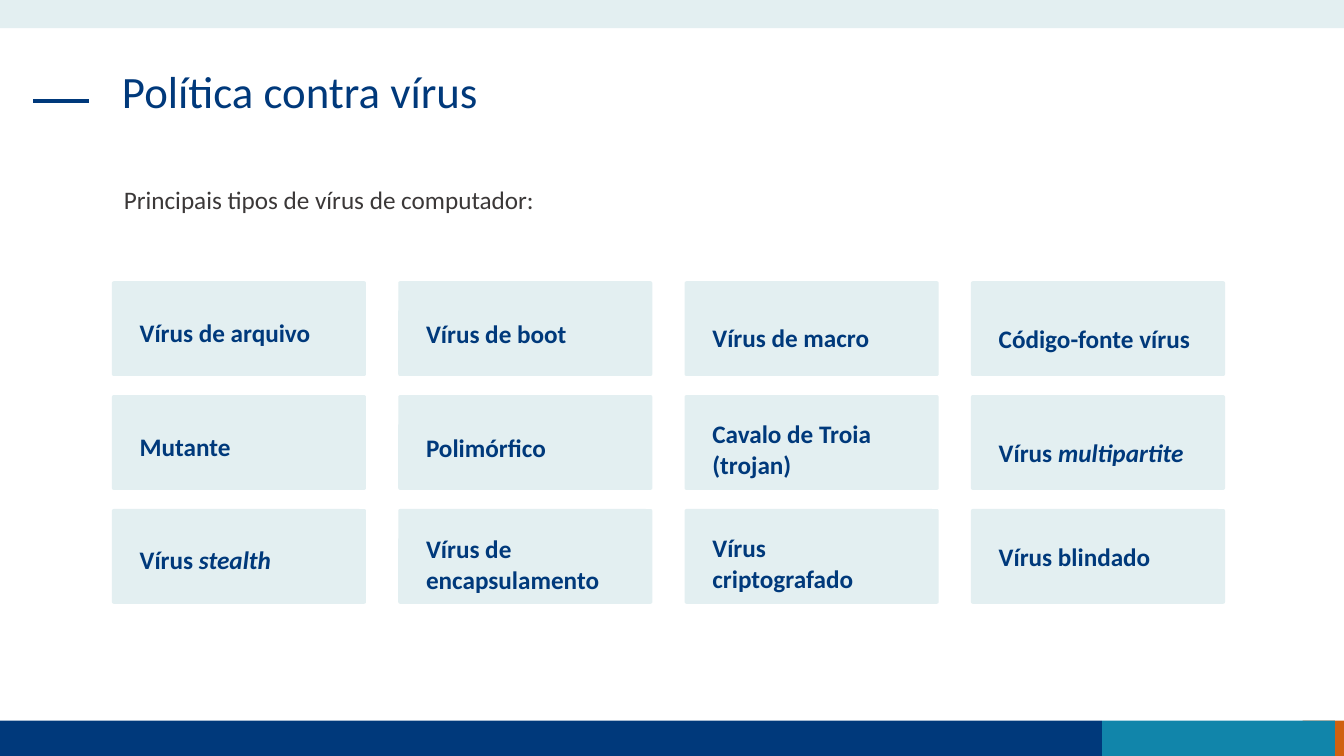
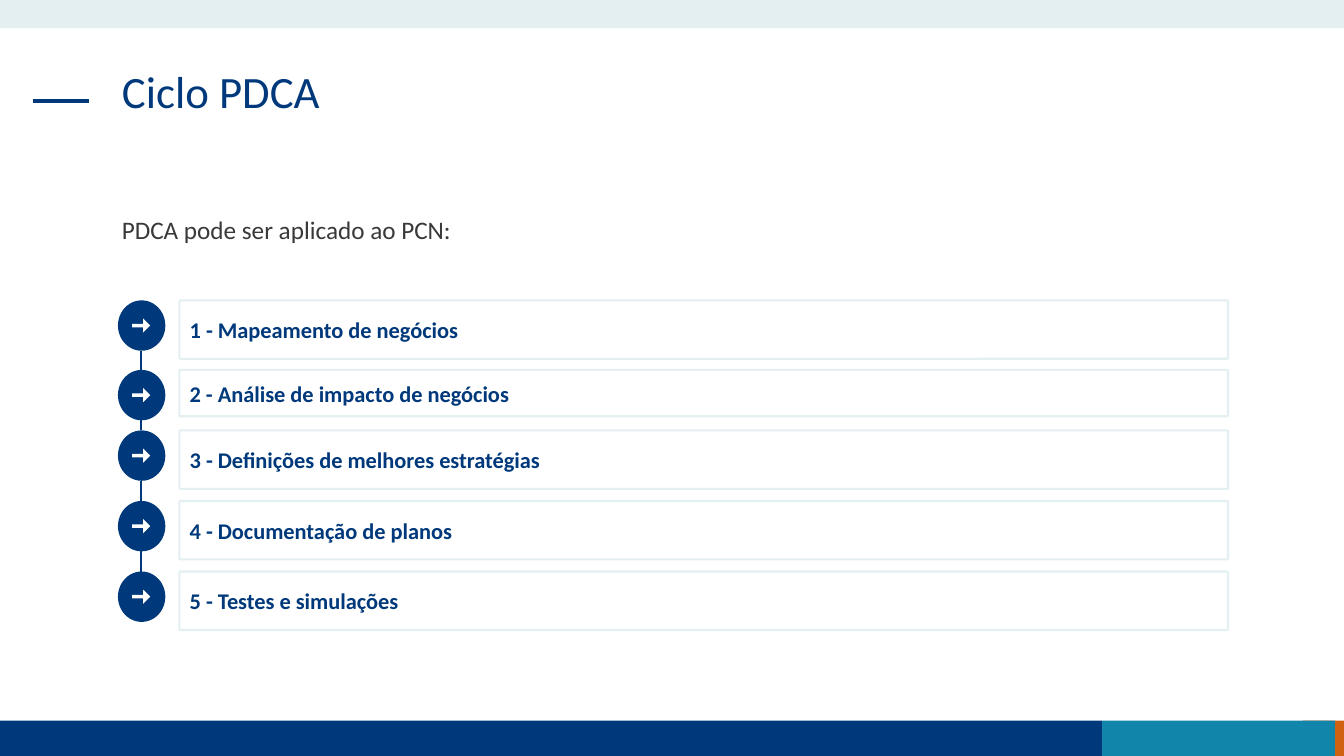
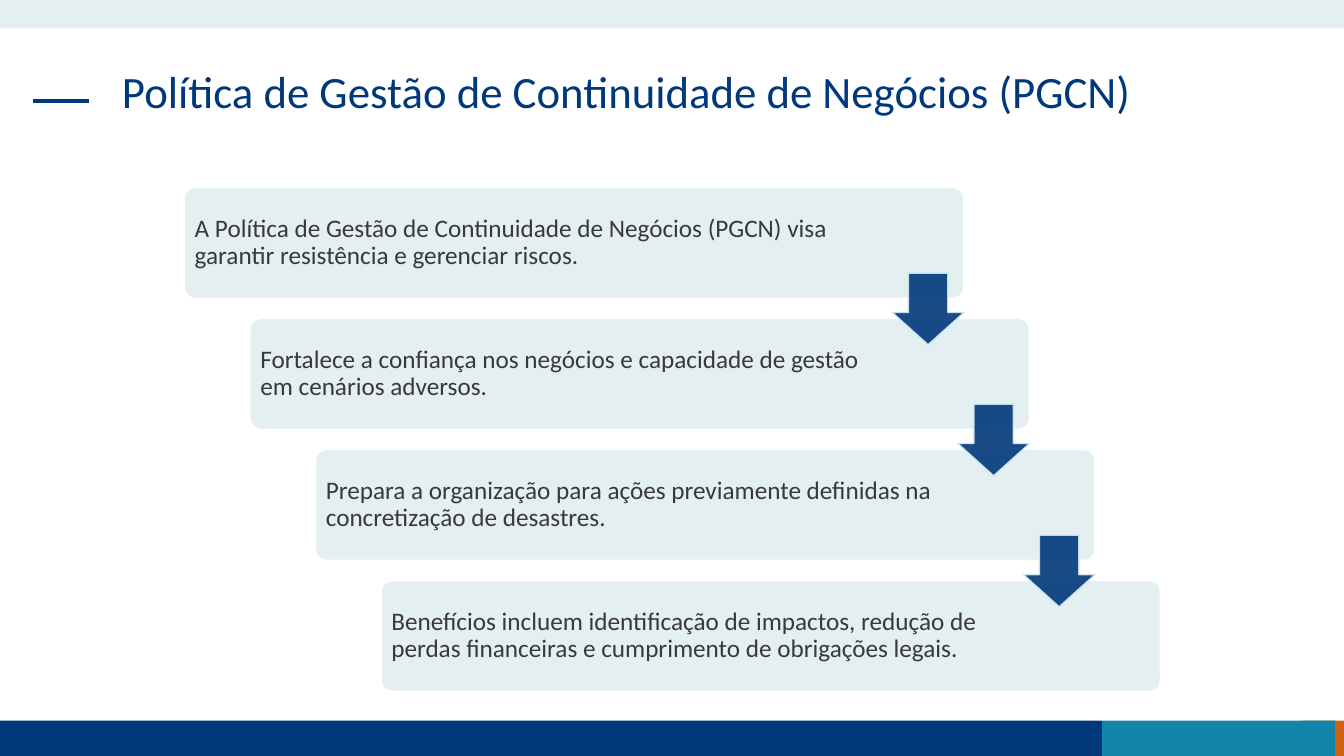
from dataclasses import dataclass
from itertools import pairwise

from lxml.etree import SubElement
from pptx import Presentation
from pptx.dml.color import RGBColor
from pptx.enum.shapes import MSO_CONNECTOR as Line, MSO_SHAPE as Shape
from pptx.enum.text import MSO_ANCHOR as Anchor, MSO_AUTO_SIZE as Fit, PP_ALIGN as Align
from pptx.oxml.ns import qn
from pptx.util import Inches, Pt


@dataclass(frozen=True)
class Theme:
    font: str = "Calibri"
    navy: str = "00397B"
    teal: str = "1185AA"
    orange: str = "D06110"
    mist: str = "E3EFF1"
    ice: str = "D1EBF4"
    ink: str = "3B3838"
    white: str = "FFFFFF"
    title: int = 32
    body: int = 18
    step: int = 16


T = Theme()
W, H = 13.33, 7.5
LEFT = 1.11

BANDS = [
    (12.92, 7.15, 0.41, 0.35, T.orange),
    (0, 7.15, 10.93, 0.35, T.navy),
    (10.93, 7.15, 2.31, 0.35, T.teal),
    (0, 0, W, 0.28, T.mist),
]

VIRUS_TITLE = "Política contra vírus"
VIRUS_INTRO = "Principais tipos de vírus de computador:"
VIRUSES = [
    [("Vírus de arquivo", "", 0.35), ("Vírus de boot", "", 0.36),
     ("Vírus de macro", "", 0.4), ("Código-fonte vírus", "", 0.41)],
    [("Mutante", "", 0.35), ("Polimórfico", "", 0.36),
     ("Cavalo de Troia (trojan)", "", 0.23), ("Vírus ", "multipartite", 0.41)],
    [("Vírus ", "stealth", 0.35), ("Vírus de encapsulamento", "", 0.24),
     ("Vírus criptografado", "", 0.23), ("Vírus blindado", "", 0.32)],
]

PDCA_TITLE = "Ciclo PDCA"
PDCA_INTRO = "PDCA pode ser aplicado ao PCN:"
STEPS = [
    ("1 - Mapeamento de negócios", 2.98, 0.58),
    ("2 - Análise de impacto de negócios", 3.67, 0.46),
    ("3 - Definições de melhores estratégias", 4.27, 0.58),
    ("4 - Documentação de planos", 4.97, 0.58),
    ("5 - Testes e simulações", 5.67, 0.58),
]

PGCN_TITLE = "Política de Gestão de Continuidade de Negócios (PGCN)"
STAIRS = [
    ("A Política de Gestão de Continuidade de Negócios (PGCN) visa garantir "
     "resistência e gerenciar riscos.", 1.27),
    ("Fortalece a confiança nos negócios e capacidade de gestão em cenários adversos.", 1.43),
    ("Prepara a organização para ações previamente definidas na concretização "
     "de desastres.", 1.43),
    ("Benefícios incluem identificação de impactos, redução de perdas financeiras "
     "e cumprimento de obrigações legais.", 1.43),
]


def rgb(color):
    return RGBColor.from_string(color)


def add_run(p, text, size, color, bold=False, italic=False):
    r = p.add_run()
    r.text = text
    f = r.font
    f.name, f.size, f.bold, f.italic = T.font, Pt(size), bold, italic
    f.color.rgb = rgb(color)


def open_text(sp, anchor, insets=(0.1, 0.05, 0.1, 0.05)):
    tf = sp.text_frame
    tf.word_wrap, tf.auto_size, tf.vertical_anchor = True, Fit.NONE, anchor
    tf.margin_left, tf.margin_top, tf.margin_right, tf.margin_bottom = map(Inches, insets)
    p = tf.paragraphs[0]
    p.alignment = Align.LEFT
    return p


def add_shape(s, kind, x, y, w, h, fill=None, line=None, weight=1, adj=()):
    sp = s.shapes.add_shape(kind, *map(Inches, (x, y, w, h)))
    sp.shadow.inherit = False
    for i, value in enumerate(adj):
        sp.adjustments[i] = value
    if fill:
        sp.fill.solid()
        sp.fill.fore_color.rgb = rgb(fill)
    else:
        sp.fill.background()
    if line:
        sp.line.color.rgb = rgb(line)
        sp.line.width = Pt(weight)
    else:
        sp.line.fill.background()
    return sp


def add_line(s, x1, y1, x2, y2, weight):
    c = s.shapes.add_connector(Line.STRAIGHT, *map(Inches, (x1, y1, x2, y2)))
    c.line.color.rgb = rgb(T.navy)
    c.line.width = Pt(weight)
    SubElement(c.element.spPr, qn("a:effectLst"))
    return c


def add_intro(s, text, x, y):
    sp = s.shapes.add_textbox(*map(Inches, (x, y, 6.67, 0.4)))
    add_run(open_text(sp, Anchor.TOP), text, T.body, T.ink)


def set_opacity(sp, percent):
    for color in sp.element.spPr.iter(qn("a:srgbClr")):
        SubElement(color, qn("a:alpha")).set("val", str(percent * 1000))


def add_slide(prs, layout, title):
    s = prs.slides.add_slide(layout)
    p = open_text(s.shapes.title, Anchor.TOP)
    p.line_spacing = 0.9
    add_run(p, title, T.title, T.navy)
    return s


def prepare_layout(prs):
    layout = prs.slide_layouts.get_by_name("Title Only")
    title, *footers = layout.placeholders
    for ph in footers:
        ph.element.getparent().remove(ph.element)
    title.left, title.top, title.width, title.height = map(Inches, (LEFT, 0.64, 11.1, 0.94))
    return layout


def move_frame_to_layout(s, layout):
    frame = [add_shape(s, Shape.RECTANGLE, *box, fill) for *box, fill in BANDS]
    frame.append(add_line(s, 0.33, 1, 0.88, 1, 3))
    for sp in frame:
        layout.shapes.element.append(sp.element)


def build_viruses(s):
    add_intro(s, VIRUS_INTRO, 1.13, 1.78)
    for row, cards in enumerate(VIRUSES):
        for col, (plain, slanted, drop) in enumerate(cards):
            sp = add_shape(s, Shape.ROUNDED_RECTANGLE, LEFT + 2.84 * col, 2.79 + 1.13 * row,
                           2.52, 0.94, T.mist, adj=[0.02])
            p = open_text(sp, Anchor.TOP, (0.27, drop, 0.27, 0))
            add_run(p, plain, T.body, T.navy, bold=True)
            if slanted:
                add_run(p, slanted, T.body, T.navy, bold=True, italic=True)


def build_steps(s):
    add_intro(s, PDCA_INTRO, LEFT, 2.08)
    dot_x, dot_w, dot_h = 1.17, 0.47, 0.5
    for (_, top, _), (_, next_top, _) in pairwise(STEPS):
        add_line(s, 1.4, top + dot_h, 1.4, next_top, 1.5)
    for text, top, height in STEPS:
        add_shape(s, Shape.OVAL, dot_x, top, dot_w, dot_h, T.navy)
        add_shape(s, Shape.RIGHT_ARROW, dot_x + 0.14, top + 0.18, 0.18, 0.14, T.white,
                  adj=[0.25, 0.5])
        sp = add_shape(s, Shape.ROUNDED_RECTANGLE, 1.78, top, 10.4, height,
                       line=T.mist, weight=1.5, adj=[0.02])
        add_run(open_text(sp, Anchor.MIDDLE), text, T.step, T.navy, bold=True)


def build_stairs(s):
    width, height, arrow = 7.73, 1.1, 0.71
    corners = [(1.83 + 0.65 * i, 1.86 + 1.3 * i) for i in range(len(STAIRS))]
    for (text, right), (x, y) in zip(STAIRS, corners):
        sp = add_shape(s, Shape.ROUNDED_RECTANGLE, x, y, width, height,
                       T.mist, T.white, adj=[0.1])
        p = open_text(sp, Anchor.MIDDLE, (0.07, 0.07, right, 0.07))
        p.line_spacing = 0.9
        add_run(p, text, T.body, T.ink)
    for x, y in corners[:-1]:
        sp = add_shape(s, Shape.DOWN_ARROW, x + width - arrow, y + 0.85, arrow, arrow,
                       T.navy, T.ice, adj=[0.55, 0.45])
        set_opacity(sp, 90)


def main():
    prs = Presentation()
    prs.slide_width, prs.slide_height = Inches(W), Inches(H)
    layout = prepare_layout(prs)
    pages = [(VIRUS_TITLE, build_viruses), (PDCA_TITLE, build_steps), (PGCN_TITLE, build_stairs)]
    slides = [add_slide(prs, layout, title) for title, _ in pages]
    move_frame_to_layout(slides[0], layout)
    for s, (_, build) in zip(slides, pages):
        build(s)
    prs.save("out.pptx")


if __name__ == "__main__":
    main()
